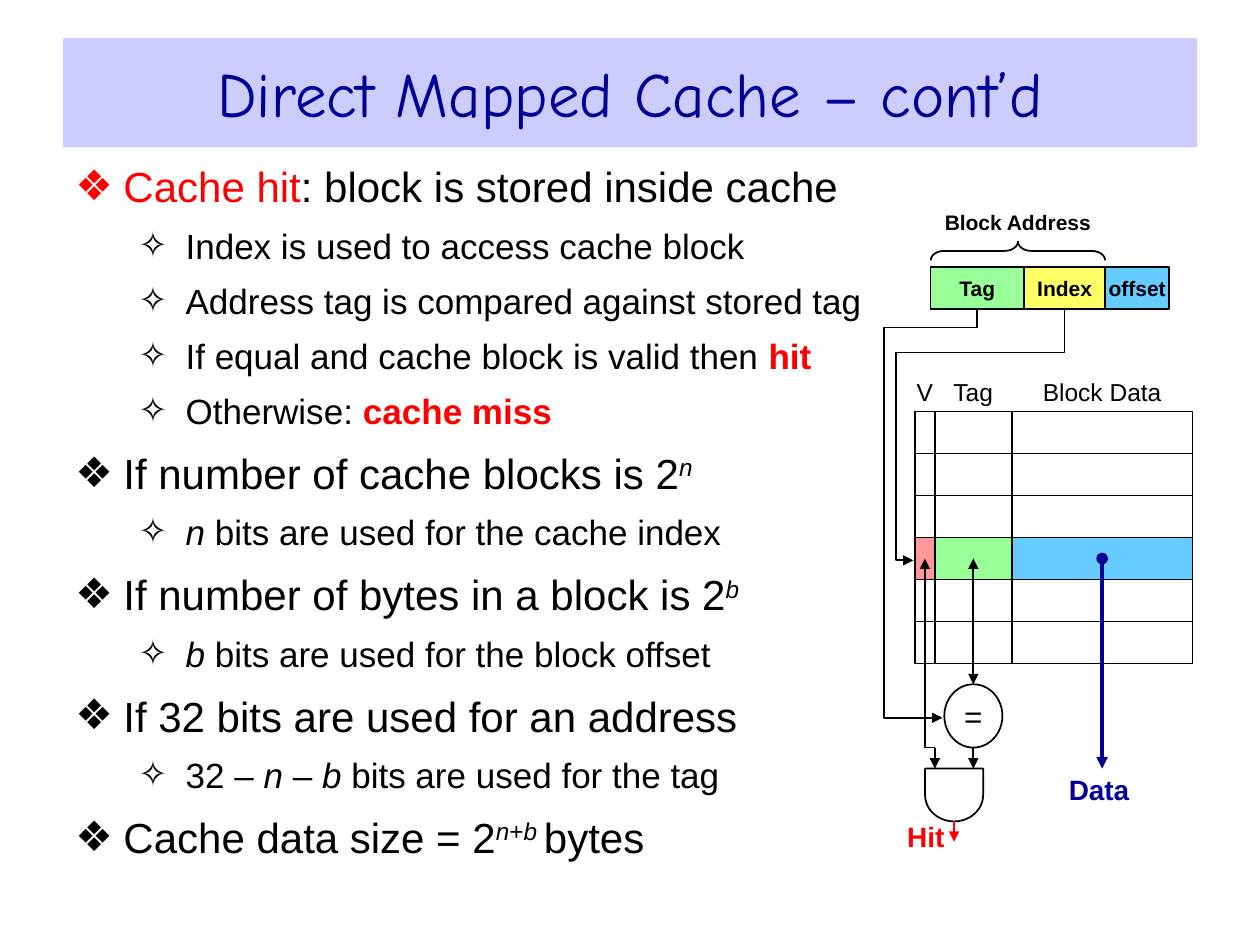
from dataclasses import dataclass
from itertools import accumulate
from lxml.etree import SubElement
from pptx import Presentation
from pptx.dml.color import RGBColor
from pptx.enum.shapes import MSO_CONNECTOR, MSO_SHAPE
from pptx.enum.text import MSO_ANCHOR, PP_ALIGN
from pptx.oxml.ns import qn
from pptx.util import Pt


@dataclass(frozen=True)
class Theme:
    black: str = "000000"
    white: str = "FFFFFF"
    red: str = "FF0000"
    navy: str = "000099"
    band: str = "CCCCFF"
    green: str = "99FF99"
    yellow: str = "FFFF66"
    blue: str = "66CCFF"
    pink: str = "FF9999"
    font: str = "Arial"
    head: str = "Comic Neue"
    title: int = 36
    body: tuple = (24, 20)
    sign: int = 18
    out: int = 16
    label: int = 14
    small: int = 12


T = Theme()
TITLE = "Direct Mapped Cache – cont’d"
POINTS = [
    (0, [("Cache hit", "red"), (": block is stored inside cache", "")]),
    (1, [("Index is used to access cache block", "")]),
    (1, [("Address tag is compared against stored tag", "")]),
    (1, [("If equal and cache block is valid then ", ""), ("hit", "red bold")]),
    (1, [("Otherwise: ", ""), ("cache miss", "red bold")]),
    (0, [("If number of cache blocks is 2", ""), ("n", "ital sup")]),
    (1, [("n", "ital"), (" bits are used for the cache index", "")]),
    (0, [("If number of bytes in a block is 2", ""), ("b", "ital sup")]),
    (1, [("b", "ital"), (" bits are used for the block offset", "")]),
    (0, [("If 32 bits are used for an address", "")]),
    (1, [("32 – ", ""), ("n", "ital"), (" – ", ""), ("b", "ital"),
         (" bits are used for the tag", "")]),
    (0, [("Cache data size = 2", ""), ("n", "ital sup"), ("+", "sup"),
         ("b ", "ital sup"), ("bytes", "")]),
]
LEVELS = [("❖", 27.5, 27.5, 9), ("✧", 63, 27, 7.5)]
FIELDS = [("Tag", 53.4, T.green), ("Index", 46.3, T.yellow), ("offset", 36.6, T.blue)]
COLS = [("V", 11.4, T.pink), ("Tag", 44, T.green), ("Block Data", 103.2, T.blue)]
ROWS, HIT_ROW, STEP = 6, 3, 24


def rgb(code):
    return RGBColor.from_string(code)


def style(run, size, color=T.black, bold=False, face=T.font):
    font = run.font
    font.size, font.name, font.bold = Pt(size), face, bold
    font.color.rgb = rgb(color)


def write(shape, text, size, color=T.black, bold=False):
    frame = shape.text_frame
    frame.word_wrap = True
    frame.vertical_anchor = MSO_ANCHOR.MIDDLE
    frame.margin_left = frame.margin_right = 0
    frame.margin_top = frame.margin_bottom = 0
    par = frame.paragraphs[0]
    par.alignment = PP_ALIGN.CENTER
    run = par.add_run()
    run.text = text
    style(run, size, color, bold)


def label(box, text, size, color=T.black, bold=False):
    write(slide.shapes.add_textbox(*map(Pt, box)), text, size, color, bold)


def stroke(shape, color=T.black, width=1, head=None, tail=None):
    shape.line.color.rgb = rgb(color)
    shape.line.width = Pt(width)
    ln = shape.line._get_or_add_ln()
    for tag, kind in (("a:headEnd", head), ("a:tailEnd", tail)):
        if kind:
            SubElement(ln, qn(tag), type=kind)


def block(box, fill=None, kind=MSO_SHAPE.RECTANGLE):
    shape = slide.shapes.add_shape(kind, *map(Pt, box))
    shape.shadow.inherit = False
    if fill:
        shape.fill.solid()
        shape.fill.fore_color.rgb = rgb(fill)
    else:
        shape.fill.background()
    stroke(shape)
    return shape


def line(x1, y1, x2, y2, **look):
    wire = slide.shapes.add_connector(MSO_CONNECTOR.STRAIGHT, *map(Pt, (x1, y1, x2, y2)))
    stroke(wire, **look)
    SubElement(wire._element.spPr, qn("a:effectLst"))


def route(*spots):
    spots = [(Pt(x), Pt(y)) for x, y in spots]
    pen = slide.shapes.build_freeform(*spots[0], scale=1.0)
    pen.add_line_segments(spots[1:], close=False)
    shape = pen.convert_to_shape()
    shape.shadow.inherit = False
    shape.fill.background()
    stroke(shape, tail="triangle")


def add_title():
    title = slide.shapes.title
    title.left, title.top, title.width, title.height = map(Pt, (36, 21.6, 648, 62.6))
    title.fill.solid()
    title.fill.fore_color.rgb = rgb(T.band)
    frame = title.text_frame
    frame.vertical_anchor = MSO_ANCHOR.MIDDLE
    par = frame.paragraphs[0]
    par.alignment = PP_ALIGN.CENTER
    run = par.add_run()
    run.text = TITLE
    style(run, T.title, T.navy, face=T.head)


def add_points():
    frame = slide.shapes.add_textbox(*map(Pt, (36, 88.2, 648, 405.4))).text_frame
    frame.word_wrap = True
    for num, (level, runs) in enumerate(POINTS):
        par = frame.add_paragraph() if num else frame.paragraphs[0]
        mark, left, hang, gap = LEVELS[level]
        par.level = level
        if num:
            par.space_before = Pt(gap)
        props = par._p.get_or_add_pPr()
        props.set("marL", str(Pt(left)))
        props.set("indent", str(-Pt(hang)))
        tint = T.black if num else T.red
        SubElement(SubElement(props, qn("a:buClr")), qn("a:srgbClr"), val=tint)
        SubElement(props, qn("a:buFont"), typeface=T.font)
        SubElement(props, qn("a:buChar"), char=mark)
        for text, look in runs:
            run = par.add_run()
            run.text = text
            style(run, T.body[level], T.red if "red" in look else T.black, "bold" in look)
            run.font.italic = "ital" in look
            if "sup" in look:
                run._r.get_or_add_rPr().set("baseline", "30000")


def add_cache():
    left, top = 522.8, 235.2
    edges = list(accumulate((wide for _, wide, _ in COLS), initial=left))
    right, base = edges[-1], top + ROWS * STEP
    hit = top + HIT_ROW * STEP
    mid = hit + STEP / 2
    block((left, top, right - left, base - top), T.white)
    for row in range(1, ROWS):
        line(left, top + row * STEP, right, top + row * STEP)
    for x in edges[1:-1]:
        line(x, top, x, base)
    for x, (name, wide, fill) in zip(edges, COLS):
        block((x, hit, wide, STEP), fill)
        label((x, 208.8, wide, 30.2), name, T.label)

    valid, tag, data = [x + wide / 2 for x, (_, wide, _) in zip(edges, COLS)]
    ring, gate, low = 391, 439.2, 427.2
    long, wide, exit = 30.2, 33.2, 545.2
    line(data, mid, data, gate, color=T.navy, width=2.25, head="oval", tail="triangle")
    line(tag, mid, tag, ring, head="triangle", tail="triangle")
    turn = (long - wide) / 2
    box = (exit - long / 2, gate + turn, long, wide)
    block(box, T.white, MSO_SHAPE.FLOWCHART_DELAY).rotation = 90
    write(block((tag - 16.6, ring, 33.2, 36.2), T.white, MSO_SHAPE.OVAL), "=", T.sign)
    for x in (edges[1], tag):
        line(x, low, x, gate, tail="triangle")
    line(edges[1], low, valid, low)
    line(valid, mid, valid, low, head="triangle")
    line(exit, gate + long, exit, 481, color=T.red, tail="triangle")
    label((512.6, 466, 33, 24), "Hit", T.out, T.red, True)
    label((609, gate, 38, 24), "Data", T.out, T.navy, True)


def add_address():
    left, top = 531.8, 152.4
    edges = list(accumulate((wide for _, wide, _ in FIELDS), initial=left))
    for x, (name, wide, fill) in zip(edges, FIELDS):
        write(block((x, top, wide, STEP), fill), name, T.small, bold=True)
    span = edges[2] - left
    label((left, 120, span, 14.4), "Block Address", T.small, bold=True)
    thick, center = 10.8, left + span / 2
    brace = block((center - thick / 2, 143.4 - span / 2, thick, span), None, MSO_SHAPE.LEFT_BRACE)
    brace.rotation = 90
    brace.adjustments[0] = 0.7
    end = top + STEP
    tag, index = edges[0] + 26.7, edges[1] + 23.1
    route((index, end), (index, 201.4), (512, 201.4), (512, 320.2), (522, 320.2))
    route((tag, end), (tag, 187.2), (505.2, 187.2), (505.2, 410.2), (538.6, 410.2))


deck = Presentation()
deck.slide_width, deck.slide_height = Pt(720), Pt(540)
slide = deck.slides.add_slide(deck.slide_layouts[5])
add_title()
add_points()
add_cache()
add_address()
deck.save("out.pptx")
